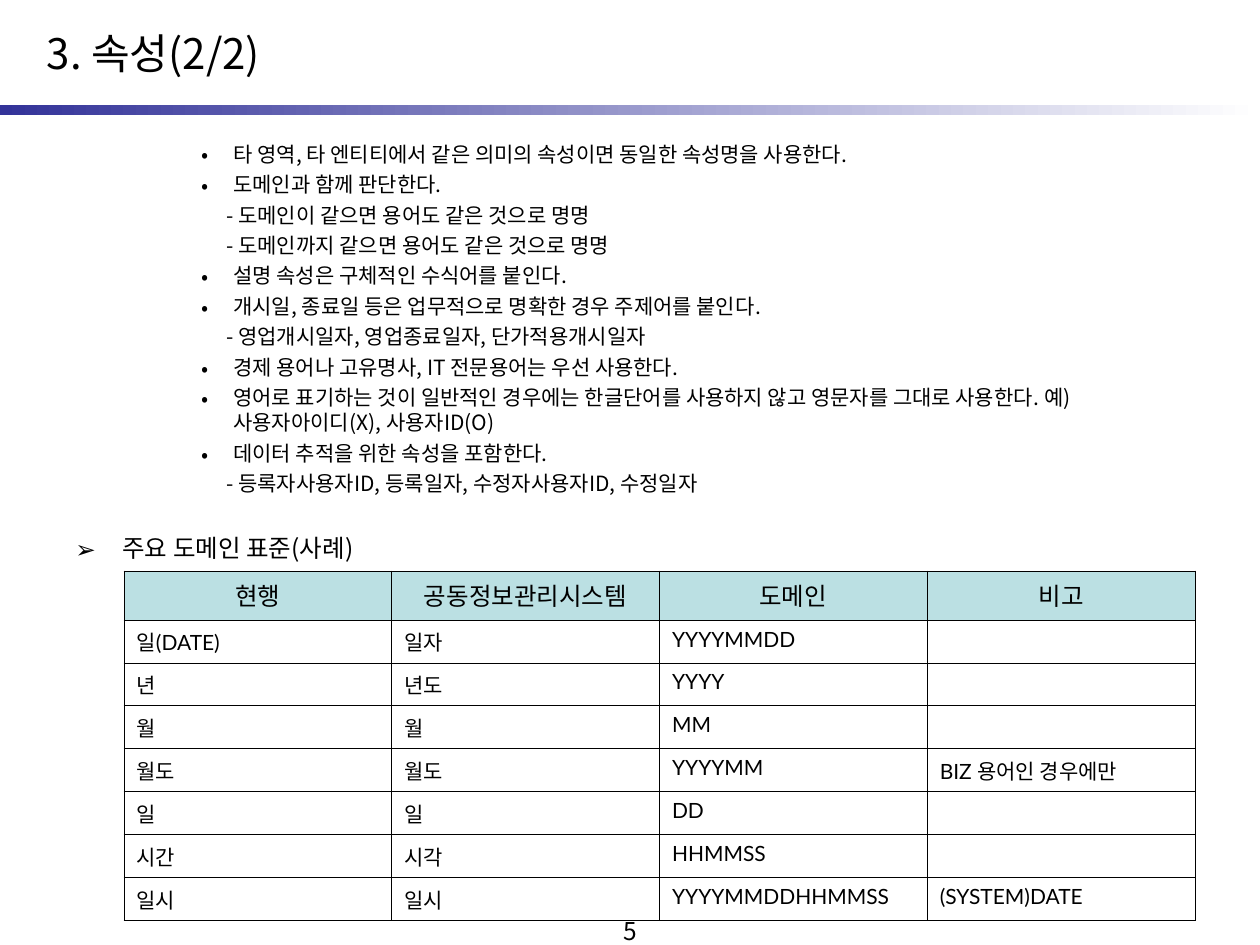
import lxml.etree
import pptx
import pptx.dml.color
import pptx.enum.shapes
import pptx.enum.text
import pptx.oxml.ns
import pptx.util
from dataclasses import dataclass


@dataclass(frozen=True)
class Theme:
    ink: str = "000000"
    band_start: str = "333399"
    band_end: str = "FFFFFF"
    header_fill: str = "BBE0E3"
    korean: str = "Noto Sans CJK KR"
    latin: str = "Lato"
    title_size: int = 24
    heading_size: int = 14
    body_size: int = 12
    line_ratio: float = 1.2
    border: float = 0.45


THEME = Theme()
PX = 914400 // 126
CENTER = pptx.enum.text.PP_ALIGN.CENTER
LEFT = pptx.enum.text.PP_ALIGN.LEFT

TITLE = "3. 속성(2/2)"
PAGE_NUMBER = "5"
RULES = [
    ("타 영역, 타 엔티티에서 같은 의미의 속성이면 동일한 속성명을 사용한다.", []),
    ("도메인과 함께 판단한다.", [
        "도메인이 같으면 용어도 같은 것으로 명명",
        "도메인까지 같으면 용어도 같은 것으로 명명",
    ]),
    ("설명 속성은 구체적인 수식어를 붙인다.", []),
    ("개시일, 종료일 등은 업무적으로 명확한 경우 주제어를 붙인다.", [
        "영업개시일자, 영업종료일자, 단가적용개시일자",
    ]),
    ("경제 용어나 고유명사, IT 전문용어는 우선 사용한다.", []),
    ("영어로 표기하는 것이 일반적인 경우에는 한글단어를 사용하지 않고 영문자를 "
     "그대로 사용한다. 예)\n사용자아이디(X), 사용자ID(O)", []),
    ("데이터 추적을 위한 속성을 포함한다.", [
        "등록자사용자ID, 등록일자, 수정자사용자ID, 수정일자",
    ]),
]
HEADING = "주요 도메인 표준(사례)"
DOMAINS = [
    ("현행", "공동정보관리시스템", "도메인", "비고"),
    ("일(DATE)", "일자", "YYYYMMDD", ""),
    ("년", "년도", "YYYY", ""),
    ("월", "월", "MM", ""),
    ("월도", "월도", "YYYYMM", "BIZ 용어인 경우에만"),
    ("일", "일", "DD", ""),
    ("시간", "시각", "HHMMSS", ""),
    ("일시", "일시", "YYYYMMDDHHMMSS", "(SYSTEM)DATE"),
]


def px(*lengths):
    return [pptx.util.Emu(length * PX) for length in lengths]


def rgb(value):
    return pptx.dml.color.RGBColor.from_string(value)


def add_xml(parent, tag, **attributes):
    return lxml.etree.SubElement(parent, pptx.oxml.ns.qn(tag), attributes)


def write(paragraph, text, size=THEME.body_size, font=THEME.korean, align=LEFT,
          before=0, spacing=None, margin=0, indent=0, bullet=None):
    paragraph.alignment = align
    paragraph.space_before = pptx.util.Pt(before)
    if spacing:
        paragraph.line_spacing = pptx.util.Pt(spacing)
    properties = paragraph._p.get_or_add_pPr()
    properties.set("marL", str(margin * PX))
    properties.set("indent", str(indent * PX))
    if bullet:
        add_xml(add_xml(properties, "a:buClr"), "a:srgbClr", val=THEME.ink)
        add_xml(properties, "a:buFont", typeface=THEME.korean)
        add_xml(properties, "a:buChar", char=bullet)
    else:
        add_xml(properties, "a:buNone")
    if not text:
        add_xml(paragraph._p, "a:endParaRPr", sz=str(size * 100))
        return
    for index, line in enumerate(text.split("\n")):
        if index:
            paragraph.add_line_break()
        run = paragraph.add_run()
        run.text = line
        run.font.size = pptx.util.Pt(size)
        run.font.name = font
        run.font.color.rgb = rgb(THEME.ink)
        add_xml(run.font._element, "a:ea", typeface=THEME.korean)


def add_band(slide):
    band = slide.shapes.add_shape(
        pptx.enum.shapes.MSO_SHAPE.RECTANGLE, *px(0, 105, 1260, 10))
    band.shadow.inherit = False
    band.line.fill.background()
    band.fill.gradient()
    band.fill.gradient_angle = 0
    for stop, color in zip(band.fill.gradient_stops, (THEME.band_start, THEME.band_end)):
        stop.color.rgb = rgb(color)


def add_title(slide):
    title = slide.shapes.title
    title.left, title.top, title.width, title.height = px(0, 0, 1260, 105)
    frame = title.text_frame
    frame.margin_left = px(47)[0]
    frame.vertical_anchor = pptx.enum.text.MSO_ANCHOR.MIDDLE
    write(frame.paragraphs[0], TITLE, size=THEME.title_size)


def add_page_number(slide):
    number = slide.shapes.add_textbox(*px(483, 910, 294, 35))
    number.text_frame.word_wrap = True
    write(number.text_frame.paragraphs[0], PAGE_NUMBER,
          size=THEME.heading_size, align=CENTER)


def add_rules(slide):
    frame = slide.shapes.add_textbox(*px(63, 135, 1133, 735)).text_frame
    frame.word_wrap = True
    line = THEME.body_size * THEME.line_ratio
    paragraph = frame.paragraphs[0]
    for rule, details in RULES:
        write(paragraph, rule, before=3, spacing=line, margin=158, indent=-32,
              bullet="•")
        for detail in details:
            write(frame.add_paragraph(), "- " + detail, before=3, spacing=line,
                  margin=151)
        paragraph = frame.add_paragraph()
    write(paragraph, HEADING, size=THEME.heading_size, before=21,
          spacing=THEME.heading_size * THEME.line_ratio,
          margin=47, indent=-47, bullet="➢")


def add_borders(cell):
    properties = cell._tc.get_or_add_tcPr()
    for side in ("a:lnL", "a:lnR", "a:lnT", "a:lnB"):
        edge = add_xml(properties, side, w=str(pptx.util.Pt(THEME.border)))
        add_xml(add_xml(edge, "a:solidFill"), "a:srgbClr", val=THEME.ink)


def add_domains(slide):
    table = slide.shapes.add_table(
        len(DOMAINS), len(DOMAINS[0]), *px(124, 571, 1071, 350)).table
    table.first_row = table.horz_banding = False
    for index, values in enumerate(DOMAINS):
        header = index == 0
        table.rows[index].height = px(49 if header else 43)[0]
        for cell, value in zip(table.rows[index].cells, values):
            add_borders(cell)
            if header:
                cell.fill.solid()
                cell.fill.fore_color.rgb = rgb(THEME.header_fill)
            else:
                cell.fill.background()
            write(cell.text_frame.paragraphs[0], value, font=THEME.latin,
                  size=THEME.heading_size if header else THEME.body_size,
                  align=CENTER if header else LEFT, before=3.5 if header else 3)


def main():
    deck = pptx.Presentation()
    deck.slide_width, deck.slide_height = px(1260, 945)
    slide = deck.slides.add_slide(deck.slide_layouts.get_by_name("Title Only"))
    add_band(slide)
    add_page_number(slide)
    add_title(slide)
    add_rules(slide)
    add_domains(slide)
    deck.save("out.pptx")


if __name__ == "__main__":
    main()
